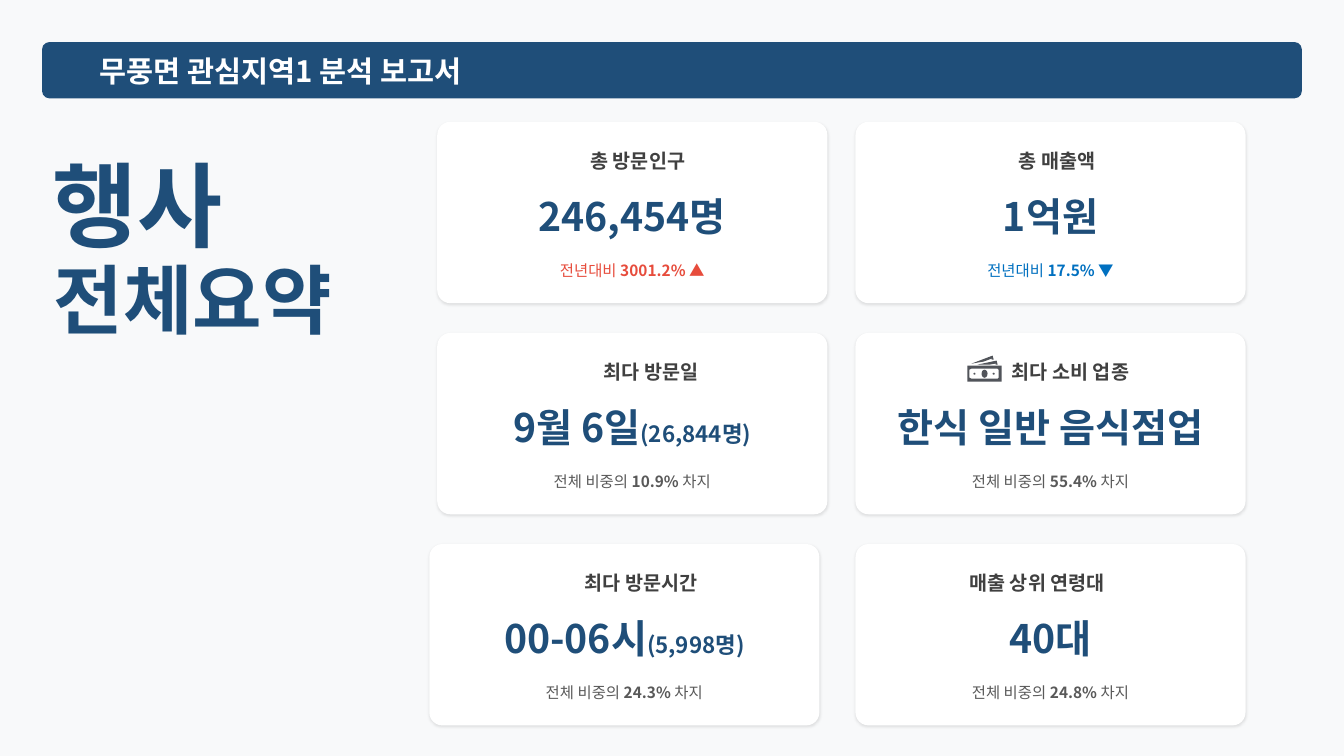
from dataclasses import dataclass

from lxml import etree
from pptx import Presentation
from pptx.dml.color import RGBColor
from pptx.enum.shapes import MSO_SHAPE
from pptx.enum.text import MSO_ANCHOR, PP_ALIGN
from pptx.oxml.ns import qn
from pptx.util import Cm, Pt

ROUNDED, OVAL = MSO_SHAPE.ROUNDED_RECTANGLE, MSO_SHAPE.OVAL
MIDDLE = MSO_ANCHOR.MIDDLE
LEFT, CENTER = PP_ALIGN.LEFT, PP_ALIGN.CENTER


@dataclass(frozen=True)
class Theme:
    """Colours, font and type sizes of the slide."""
    font: str = "Noto Sans CJK KR"
    page: str = "F8F9FA"
    navy: str = "1F4E79"
    white: str = "FFFFFF"
    heading: str = "404040"
    muted: str = "595959"
    rise: str = "E74C3C"
    fall: str = "0070C0"
    icon: str = "51545A"
    report_size: float = 21
    event_size: float = 66
    summary_size: float = 54
    value_size: float = 28
    detail_size: float = 16
    heading_size: float = 14
    note_size: float = 11


THEME = Theme()


@dataclass(frozen=True)
class Card:
    """Content of one figure card; heading_x is measured from its left side."""
    left: float
    row: int
    heading: str
    heading_x: float
    value: str
    detail: str
    note: tuple
    note_color: str = THEME.muted
    has_icon: bool = False


LEFT_COLUMN, RIGHT_COLUMN = 11.02, 21.56
FIRST_ROW, ROW_PITCH = 3.07, 5.32
CARD_WIDTH, CARD_HEIGHT = 9.83, 4.57
CARDS = (
    Card(LEFT_COLUMN, 0, "총 방문인구", 3.86, "246,454명", "",
         ("전년대비 ", "3001.2% ▲", ""), THEME.rise),
    Card(LEFT_COLUMN, 1, "최다 방문일", 4.19, "9월 6일", "(26,844명)",
         ("전체 비중의 ", "10.9% ", "차지")),
    Card(LEFT_COLUMN - 0.2, 2, "최다 방문시간", 3.91, "00-06시", "(5,998명)",
         ("전체 비중의 ", "24.3% ", "차지")),
    Card(RIGHT_COLUMN, 0, "총 매출액", 4.11, "1억원", "",
         ("전년대비 ", "17.5% ▼", ""), THEME.fall),
    Card(RIGHT_COLUMN, 1, "최다 소비 업종", 3.94, "한식 일반 음식점업", "",
         ("전체 비중의 ", "55.4% ", "차지"), has_icon=True),
    Card(RIGHT_COLUMN, 2, "매출 상위 연령대", 2.87, "40대", "",
         ("전체 비중의 ", "24.8% ", "차지")),
)

ICON_UNIT = Cm(0.0254)
NOTE_FRAME = (
    ((0, 10), (34, 10), (34, 26), (0, 26)),
    ((31, 22), (30, 23), (4, 23), (2, 22), (2, 14), (4, 13), (30, 13), (31, 14)),
)
BACK_NOTES = (
    ((24, 3), (24, 4), (26, 4), (25, 0), (4, 8), (16, 6)),
    ((22, 9), (28, 8), (28, 9), (30, 9), (29, 5), (10, 9)),
)
NOTE_DOTS = ((14, 14, 6, 8), (6, 17, 2, 2), (25, 17, 2, 2))


def rgb(color):
    """Turn a hex string into a colour."""
    return RGBColor.from_string(color)


def paint(shape, color):
    """Give a shape a flat fill without line or shadow."""
    shape.fill.solid()
    shape.fill.fore_color.rgb = rgb(color)
    shape.line.fill.background()
    shape.shadow.inherit = False


def write(shape, runs, color, align=LEFT):
    """Write (text, size, bold) runs into a box without margins."""
    frame = shape.text_frame
    frame.word_wrap = True
    frame.vertical_anchor = MIDDLE
    frame.margin_left = frame.margin_right = frame.margin_top = frame.margin_bottom = 0
    paragraph = frame.paragraphs[0]
    paragraph.alignment = align
    for text, size, bold in runs:
        if not text:
            continue
        run = paragraph.add_run()
        run.text = text
        run.font.size, run.font.bold = Pt(size), bold
        run.font.name = THEME.font
        run.font.color.rgb = rgb(color)
        east_asian = etree.SubElement(run.font._element, qn("a:ea"))
        east_asian.set("typeface", THEME.font)


def add_label(slide, box, runs, color, align=LEFT):
    """Add a text box at a (left, top, width, height) box in centimetres."""
    write(slide.shapes.add_textbox(*map(Cm, box)), runs, color, align)


def add_panel(slide, box, color, corner):
    """Add a plain rounded rectangle."""
    panel = slide.shapes.add_shape(ROUNDED, *map(Cm, box))
    panel.adjustments[0] = corner
    paint(panel, color)
    return panel


def cast_shadow(panel):
    """Give a panel a faint shadow below it."""
    effects = panel._element.spPr.find(qn("a:effectLst"))
    shadow = etree.SubElement(effects, qn("a:outerShdw"), blurRad=str(Pt(2)),
                              dist=str(Pt(1)), dir="5400000", rotWithShape="0")
    color = etree.SubElement(shadow, qn("a:srgbClr"), val="000000")
    etree.SubElement(color, qn("a:alpha"), val="10000")


def add_header(slide, left, top, width, height):
    """Draw the report bar and set the title on it."""
    bar = add_panel(slide, (left, top, width, height), THEME.navy, 0.132)
    title = slide.shapes.title
    title._element.addprevious(bar._element)
    title.left, title.top = Cm(left + 1.45), Cm(top + 0.18)
    title.width, title.height = Cm(16.69), Cm(1.09)
    write(title, [("무풍면 관심지역1 분석 보고서", THEME.report_size, True)], THEME.white)


def add_summary(slide, left, top, width):
    """Write the two-line section name."""
    add_label(slide, (left, top, width, 3.35),
              [("행사", THEME.event_size, True)], THEME.navy)
    add_label(slide, (left + 0.03, top + 2.67, width, 2.77),
              [("전체요약", THEME.summary_size, True)], THEME.navy)


def add_outline(slide, left, top, contours):
    """Draw one filled icon part from closed contours."""
    builder = slide.shapes.build_freeform(*contours[0][0], scale=ICON_UNIT)
    builder.add_line_segments(contours[0][1:], close=True)
    for contour in contours[1:]:
        builder.move_to(*contour[0])
        builder.add_line_segments(contour[1:], close=True)
    paint(builder.convert_to_shape(left, top), THEME.icon)


def add_money_icon(slide, left, top):
    """Draw a stack of banknotes."""
    left, top = Cm(left), Cm(top)
    add_outline(slide, left, top, NOTE_FRAME)
    for back_note in BACK_NOTES:
        add_outline(slide, left, top, (back_note,))
    for x, y, width, height in NOTE_DOTS:
        dot = slide.shapes.add_shape(OVAL, left + x * ICON_UNIT, top + y * ICON_UNIT,
                                     width * ICON_UNIT, height * ICON_UNIT)
        paint(dot, THEME.icon)


def add_card(slide, card, left, top, width, height):
    """Draw a card with its heading, value and note."""
    cast_shadow(add_panel(slide, (left, top, width, height), THEME.white, 0.072))
    add_label(slide, (left + card.heading_x, top + 0.66, 5.1, 0.64),
              [(card.heading, THEME.heading_size, True)], THEME.heading)
    add_label(slide, (left, top + 1.75, width, 1.24),
              [(card.value, THEME.value_size, True),
               (card.detail, THEME.detail_size, True)], THEME.navy, CENTER)
    lead, share, ending = card.note
    add_label(slide, (left, top + 3.39, width, 0.71),
              [(lead, THEME.note_size, False), (share, THEME.note_size, True),
               (ending, THEME.note_size, False)], card.note_color, CENTER)
    if card.has_icon:
        add_money_icon(slide, left + 2.82, top + 0.57)


def main():
    """Build the summary slide and save it."""
    deck = Presentation()
    deck.slide_width, deck.slide_height = Cm(33.87), Cm(19.05)
    slide = deck.slides.add_slide(deck.slide_layouts[5])
    slide.background.fill.solid()
    slide.background.fill.fore_color.rgb = rgb(THEME.page)
    add_header(slide, 1.06, 1.06, 31.75, 1.42)
    add_summary(slide, 1.32, 3.45, 7.52)
    for card in CARDS:
        add_card(slide, card, card.left, FIRST_ROW + card.row * ROW_PITCH,
                 CARD_WIDTH, CARD_HEIGHT)
    deck.save("out.pptx")


if __name__ == "__main__":
    main()
